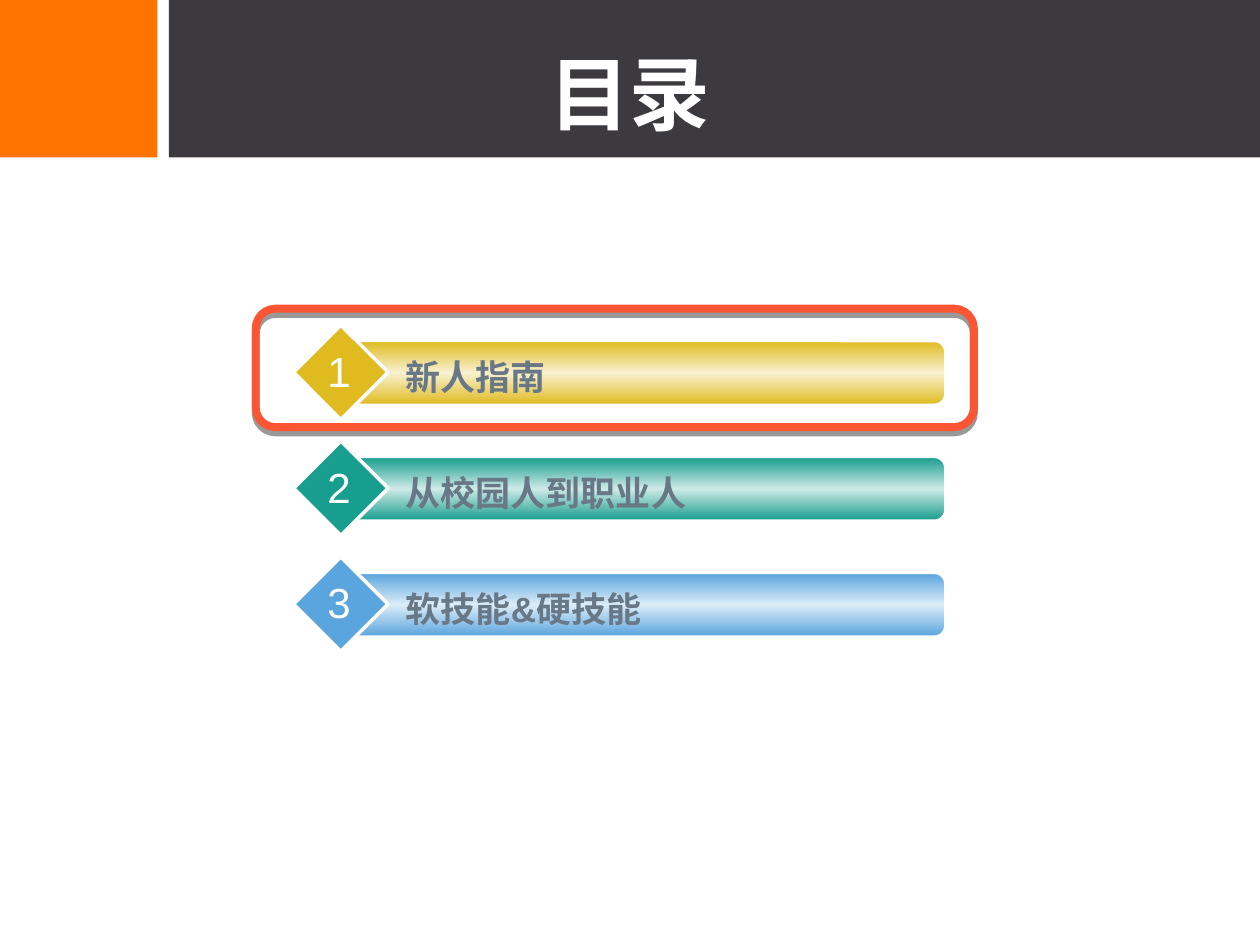
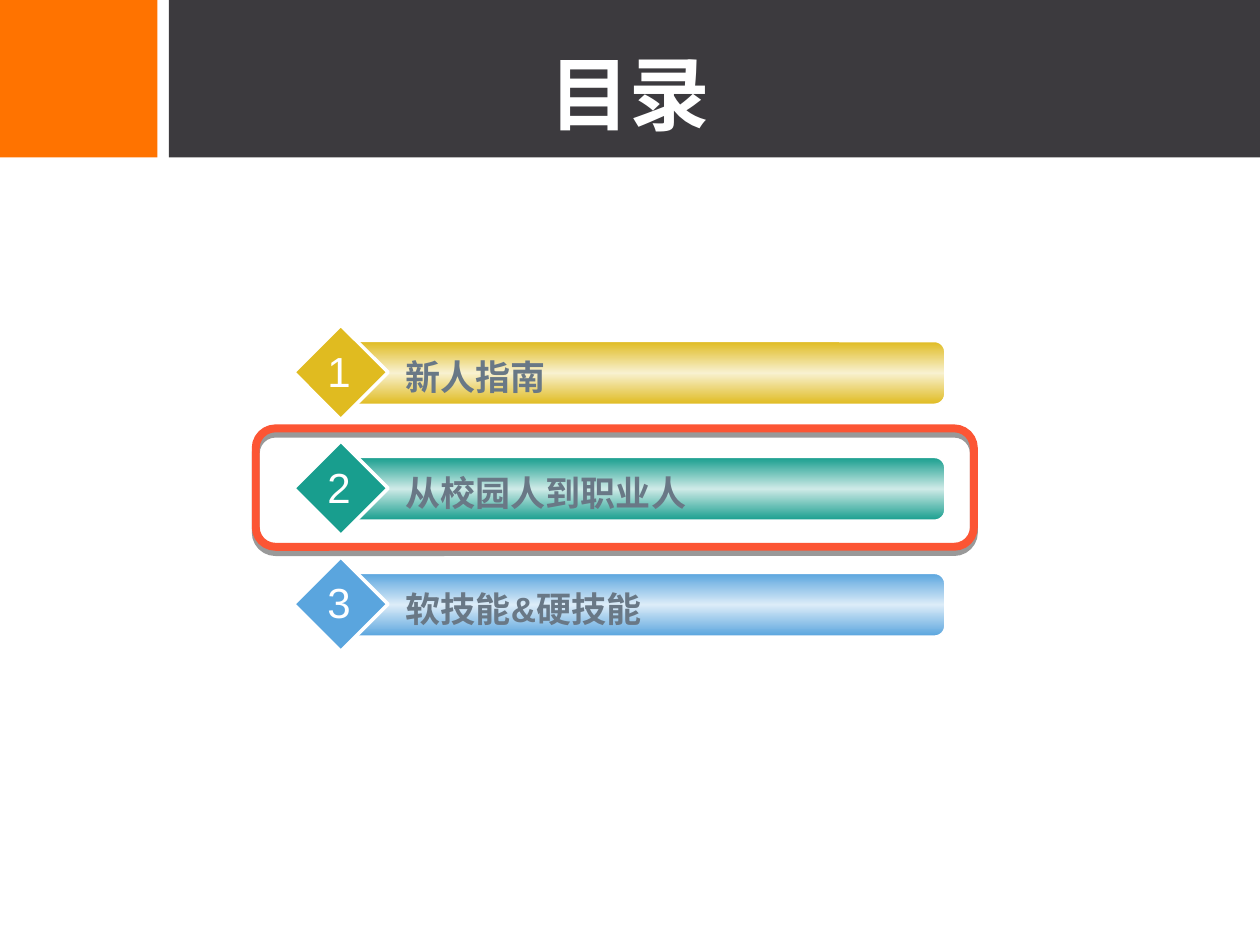
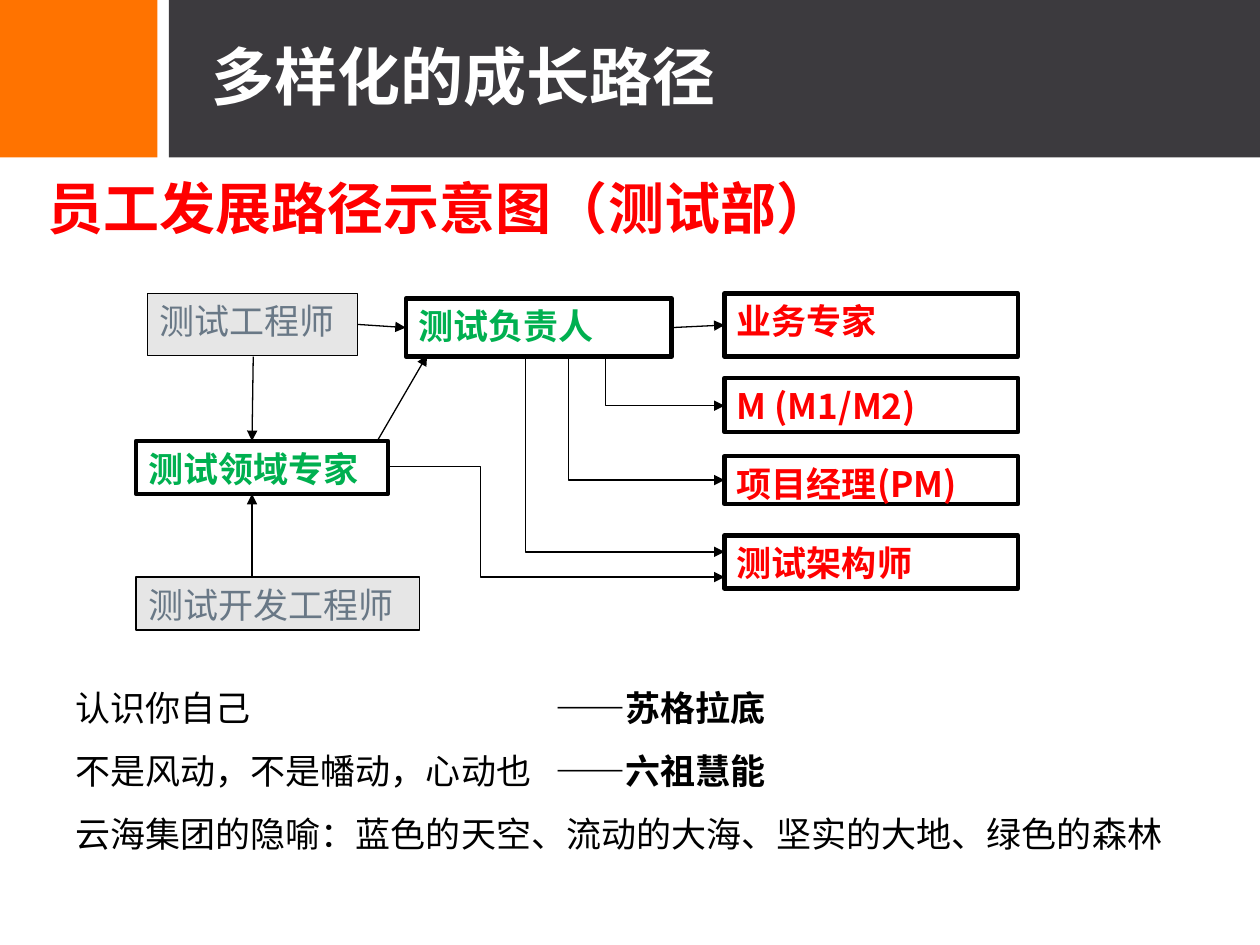
from copy import deepcopy

from lxml.etree import SubElement
from pptx import Presentation
from pptx.dml.color import RGBColor
from pptx.enum.shapes import MSO_CONNECTOR, MSO_SHAPE
from pptx.enum.text import MSO_ANCHOR, MSO_AUTO_SIZE, PP_ALIGN
from pptx.oxml.ns import qn
from pptx.util import Inches, Pt

COLORS = {
    "white": "FFFFFF", "black": "000000", "orange": "FF7300", "dark": "3C3A3E",
    "slate": "697886", "grey": "E6E6E6", "green": "00B050", "red": "FF0000",
    "highlight": "FC5534",
    "gold": "E0BB20", "gold_light": "F8F1D0",
    "teal": "189E8E", "teal_light": "CEEAE7",
    "blue": "5AA5DE", "blue_light": "DCECF8",
}
CJK = "Noto Sans CJK SC"
CENTER, LEFT = PP_ALIGN.CENTER, PP_ALIGN.LEFT

# Content: agenda
AGENDA_TITLE = "目录"
AGENDA = [("新人指南", "gold"), ("从校园人到职业人", "teal"), ("软技能&硬技能", "blue")]
AGENDA_TOP, AGENDA_STEP = 2.58, 0.92
HIGHLIGHT_TOP, HIGHLIGHT_STEP = 2.45, 0.95

# Content: growth paths
PATH_TITLE = "多样化的成长路径"
PATH_HEADING = "员工发展路径示意图（测试部）"
ROLE_STYLES = {  # fill, text colour, line width, bold
    "start": ("grey", "slate", 0.75, False),
    "middle": ("white", "green", 2.5, True),
    "goal": ("white", "red", 2.5, True),
}
ROLES = {
    "engineer": ("测试工程师", "start", (1.17, 2.33, 1.67, 0.49)),
    "lead": ("测试负责人", "middle", (3.22, 2.37, 2.11, 0.46)),
    "expert": ("测试领域专家", "middle", (1.08, 3.5, 2, 0.42)),
    "developer": ("测试开发工程师", "start", (1.08, 4.58, 2.25, 0.42)),
    "business": ("业务专家", "goal", (5.75, 2.33, 2.33, 0.5)),
    "manager": ("M (M1/M2)", "goal", (5.75, 3, 2.33, 0.43)),
    "project": ("项目经理(PM)", "goal", (5.75, 3.62, 2.33, 0.38)),
    "architect": ("测试架构师", "goal", (5.75, 4.25, 2.33, 0.42)),
}
JOINED = [("engineer", "lead"), ("lead", "business")]
STRAIGHT = [((2.01, 2.83), (2, 3.5)), ((3, 3.49), (3.39, 2.82)), ((2, 4.58), (2, 3.92))]
ELBOWS = [  # start, end, share of the width where the line turns
    ((3.86, 2.82), (5.75, 3.22), 0.5),
    ((3.75, 2.82), (5.75, 3.81), 0.38),
    ((3.86, 2.83), (5.75, 4.38), 0.165),
    ((3.08, 3.7), (5.75, 4.58), 0.274),
]
SAYINGS = [
    ("认识你自己", "——苏格拉底"),
    ("不是风动，不是幡动，心动也", "——六祖慧能"),
    ("云海集团的隐喻：蓝色的天空、流动的大海、坚实的大地、绿色的森林", None),
]
SAYING_TOP, SAYING_STEP = 5.4, 0.5


def rgb(name):
    return RGBColor.from_string(COLORS[name])


def write(shape, text, size=20, color="black", bold=False, align=LEFT,
          font="Arial", wrap=True, indent=0.1):
    frame = shape.text_frame
    frame.word_wrap = wrap
    frame.auto_size = MSO_AUTO_SIZE.NONE
    frame.vertical_anchor = MSO_ANCHOR.TOP
    frame.margin_left = Inches(indent)
    para = frame.paragraphs[0]
    para.alignment = align
    span = para.add_run()
    span.text = text
    span.font.name = font
    span.font.size = Pt(size)
    span.font.bold = bold
    span.font.color.rgb = rgb(color)
    SubElement(span.font._element, qn("a:ea"), typeface=CJK)


def add_text(shapes, text, place, **style):
    write(shapes.add_textbox(*map(Inches, place)), text, **style)


def add_box(shapes, kind, place, fill=None, line=None, width=1):
    box = shapes.add_shape(kind, *map(Inches, place))
    box.shadow.inherit = False
    if fill:
        box.fill.solid()
        box.fill.fore_color.rgb = rgb(fill)
    else:
        box.fill.background()
    if line:
        box.line.color.rgb = rgb(line)
        box.line.width = Pt(width)
    else:
        box.line.fill.background()
    return box


def shade(box, color):
    """Vertical gradient, light in the middle."""
    box.fill.gradient()
    box.fill.gradient_angle = 90
    stop_list = box.element.spPr.find(".//" + qn("a:gsLst"))
    stop_list.append(deepcopy(stop_list[0]))
    names = (color, color + "_light", color)
    for stop, position, name in zip(box.fill.gradient_stops, (0, 0.5, 1), names):
        stop.position = position
        stop.color.rgb = rgb(name)


def add_arrow(shapes, start, end, turn=None):
    kind = MSO_CONNECTOR.STRAIGHT if turn is None else MSO_CONNECTOR.ELBOW
    arrow = shapes.add_connector(kind, *map(Inches, start + end))
    arrow.line.color.rgb = rgb("black")
    arrow.line.width = Pt(0.75)
    SubElement(arrow.line._get_or_add_ln(), qn("a:tailEnd"), type="triangle")
    properties = arrow._element.spPr
    SubElement(properties, qn("a:effectLst"))
    if turn is not None:
        guides = properties.find(".//" + qn("a:avLst"))
        SubElement(guides, qn("a:gd"), name="adj1", fmla=f"val {round(turn * 100000)}")
    return arrow


def add_bands(deck, page):
    """Header bands, moved to the master so that every slide shows them."""
    bands = [((0, 0, 1.25, 1.25), "orange"), ((1.34, 0, 8.68, 1.25), "dark")]
    for index, (place, color) in enumerate(bands):
        band = add_box(page.shapes, MSO_SHAPE.RECTANGLE, place, color)
        deck.slide_master.shapes.element.insert(2 + index, band.element)


def add_page(deck, title, place, **style):
    page = deck.slides.add_slide(deck.slide_layouts[5])
    box = page.shapes.title
    box.left, box.top, box.width, box.height = map(Inches, place)
    write(box, title, color="white", bold=True, **style)
    return page


def add_agenda(deck, current):
    page = add_page(deck, AGENDA_TITLE, (0.5, 0.3, 9, 1.25), size=46, align=CENTER, font="Roboto")
    for index, (label, color) in enumerate(AGENDA):
        top = AGENDA_TOP + index * AGENDA_STEP
        entry = page.shapes.add_group_shape().shapes
        bar = add_box(entry, MSO_SHAPE.ROUNDED_RECTANGLE, (2.75, top + 0.13, 4.75, 0.5),
                      line="white")
        shade(bar, color)
        add_box(entry, MSO_SHAPE.DIAMOND, (2.33, top, 0.75, 0.75), color, "white", 2)
        add_text(entry, label, (3, top + 0.19, 4.2, 0.44), color="slate", bold=True, indent=0.22)
        add_text(entry, str(index + 1), (2.5, top + 0.11, 0.38, 0.5), size=24,
                 color="white", align=CENTER, wrap=False)

    # Frame around the current entry, with a hard shadow below
    frame = add_box(page.shapes, MSO_SHAPE.ROUNDED_RECTANGLE,
                    (2.03, HIGHLIGHT_TOP + current * HIGHLIGHT_STEP, 5.7, 0.94),
                    line="highlight", width=4.5)
    effects = frame.element.spPr.find(qn("a:effectLst"))
    shadow = SubElement(effects, qn("a:outerShdw"), blurRad="0", dist=str(Pt(3)),
                        dir="5400000", rotWithShape="0")
    tone = SubElement(shadow, qn("a:srgbClr"), val=COLORS["black"])
    SubElement(tone, qn("a:alpha"), val="40000")
    return page


def add_growth_paths(deck):
    page = add_page(deck, PATH_TITLE, (1.58, 0.25, 8, 0.75), size=36, font=CJK)
    shapes = page.shapes

    # Roles
    boxes = {}
    for role, (label, style, place) in ROLES.items():
        fill, color, width, bold = ROLE_STYLES[style]
        boxes[role] = add_box(shapes, MSO_SHAPE.RECTANGLE, place, fill, "black", width)
        write(boxes[role], label, color=color, bold=bold, font=CJK)

    # Moves between roles
    for source, target in JOINED:
        arrow = add_arrow(shapes, (0, 0), (1, 1))
        arrow.begin_connect(boxes[source], 3)
        arrow.end_connect(boxes[target], 1)
    for start, end in STRAIGHT:
        add_arrow(shapes, start, end)
    for start, end, turn in ELBOWS:
        add_arrow(shapes, start, end, turn)

    # Heading and sayings
    add_text(shapes, PATH_HEADING, (0.28, 1.33, 6.43, 0.64), size=32, color="red",
             bold=True, align=CENTER, font=CJK, wrap=False)
    for index, (saying, author) in enumerate(SAYINGS):
        top = SAYING_TOP + index * SAYING_STEP
        add_text(shapes, saying, (0.5, top, 8.92, 0.44))
        if author:
            add_text(shapes, author, (1.83, top, 6.33, 0.44), bold=True, align=CENTER, indent=0.6)


def main():
    deck = Presentation()
    deck.slide_width, deck.slide_height = Inches(10), Inches(7.5)
    first = add_agenda(deck, 0)
    add_bands(deck, first)
    add_agenda(deck, 1)
    add_growth_paths(deck)
    deck.save("out.pptx")


if __name__ == "__main__":
    main()
